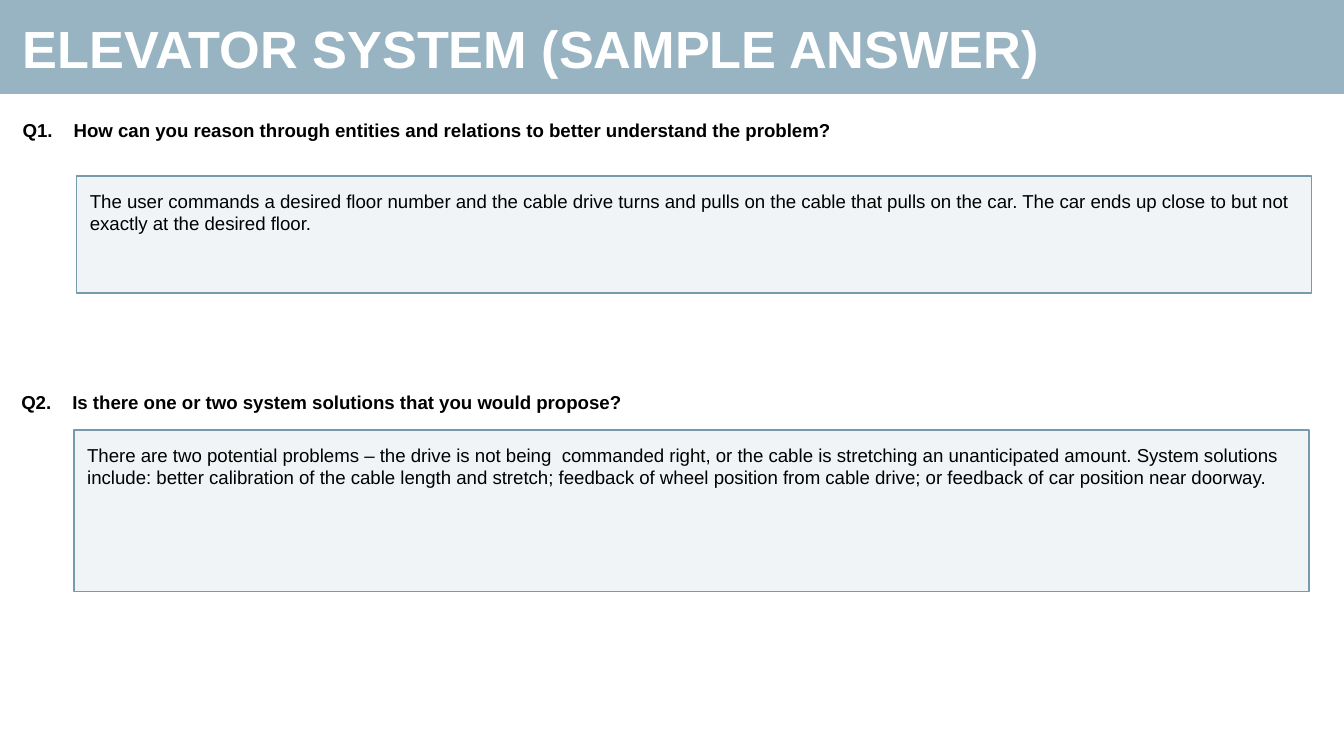
"""Build the elevator system question and answer slide."""
from lxml import etree
from pptx import Presentation
from pptx.dml.color import RGBColor
from pptx.enum import shapes, text
from pptx.oxml import ns
from pptx.util import Inches, Pt

THEME = {
    "font": "Arial", "blue": "769BAE", "black": "000000", "white": "FFFFFF",
    "title": 28, "body": 10, "line": 0.75, "band": 75, "tint": 10,
}
TITLE = "ELEVATOR SYSTEM (SAMPLE ANSWER)"
ITEMS = [
    {
        "ask": "Q1. \tHow can you reason through entities and relations to better "
               "understand the problem?",
        "reply": "The user commands a desired floor number and the cable drive turns "
                 "and pulls on the cable that pulls on the car. The car ends up close "
                 "to but not exactly at the desired floor.",
        "left": 0.07, "top": 0.76, "box": (0.57, 1.31, 9.19, 0.87),
    },
    {
        "ask": "Q2. \tIs there one or two system solutions that you would propose?",
        "reply": "There are two potential problems – the drive is not being  commanded "
                 "right, or the cable is stretching an unanticipated amount. System "
                 "solutions include: better calibration of the cable length and "
                 "stretch; feedback of wheel position from cable drive; or feedback "
                 "of car position near doorway.",
        "left": 0.06, "top": 2.78, "box": (0.55, 3.2, 9.19, 1.2),
    },
]


def write(shape, words, size, color, bold=False, hang=0,
          anchor=text.MSO_ANCHOR.TOP):
    frame = shape.text_frame
    frame.word_wrap = True
    frame.vertical_anchor = anchor
    for side in ("left", "top", "right", "bottom"):
        setattr(frame, f"margin_{side}", Inches(0.1))
    para = frame.paragraphs[0]
    para.alignment = text.PP_ALIGN.LEFT
    if hang:
        props = para._p.get_or_add_pPr()
        props.set("marL", str(Inches(hang)))
        props.set("indent", str(-Inches(hang)))
    run = para.add_run()
    run.text = words
    font = run.font
    font.name, font.size, font.bold = THEME["font"], Pt(size), bold
    font.color.rgb = RGBColor.from_string(color)


def label(slide, area, *args, **style):
    box = slide.shapes.add_textbox(*map(Inches, area))
    write(box, *args, bold=True, anchor=text.MSO_ANCHOR.MIDDLE, **style)


def panel(slide, area, alpha, edge=False):
    shape = slide.shapes.add_shape(shapes.MSO_SHAPE.RECTANGLE, *map(Inches, area))
    shape.shadow.inherit = False
    blue = RGBColor.from_string(THEME["blue"])
    shape.fill.solid()
    shape.fill.fore_color.rgb = blue
    tone = shape._element.spPr.find(ns.qn("a:solidFill"))[0]
    etree.SubElement(tone, ns.qn("a:alpha"), val=str(alpha * 1000))
    if edge:
        shape.line.color.rgb = blue
        shape.line.width = Pt(THEME["line"])
    else:
        shape.line.fill.background()
    return shape


def main():
    deck = Presentation()
    deck.slide_width = Inches(10)
    deck.slide_height = deck.slide_width * 9 // 16
    slide = deck.slides.add_slide(deck.slide_layouts[6])
    for item in ITEMS:
        label(slide, (item["left"], item["top"], 9.65, 0.42), item["ask"],
              THEME["body"], THEME["black"], hang=0.38)
        box = panel(slide, item["box"], THEME["tint"], edge=True)
        write(box, item["reply"], THEME["body"], THEME["black"])
    panel(slide, (0, 0, 10.02, 0.7), THEME["band"])
    label(slide, (0.07, 0.04, 9.11, 0.63), TITLE,
          THEME["title"], THEME["white"])
    deck.save("out.pptx")


if __name__ == "__main__":
    main()
